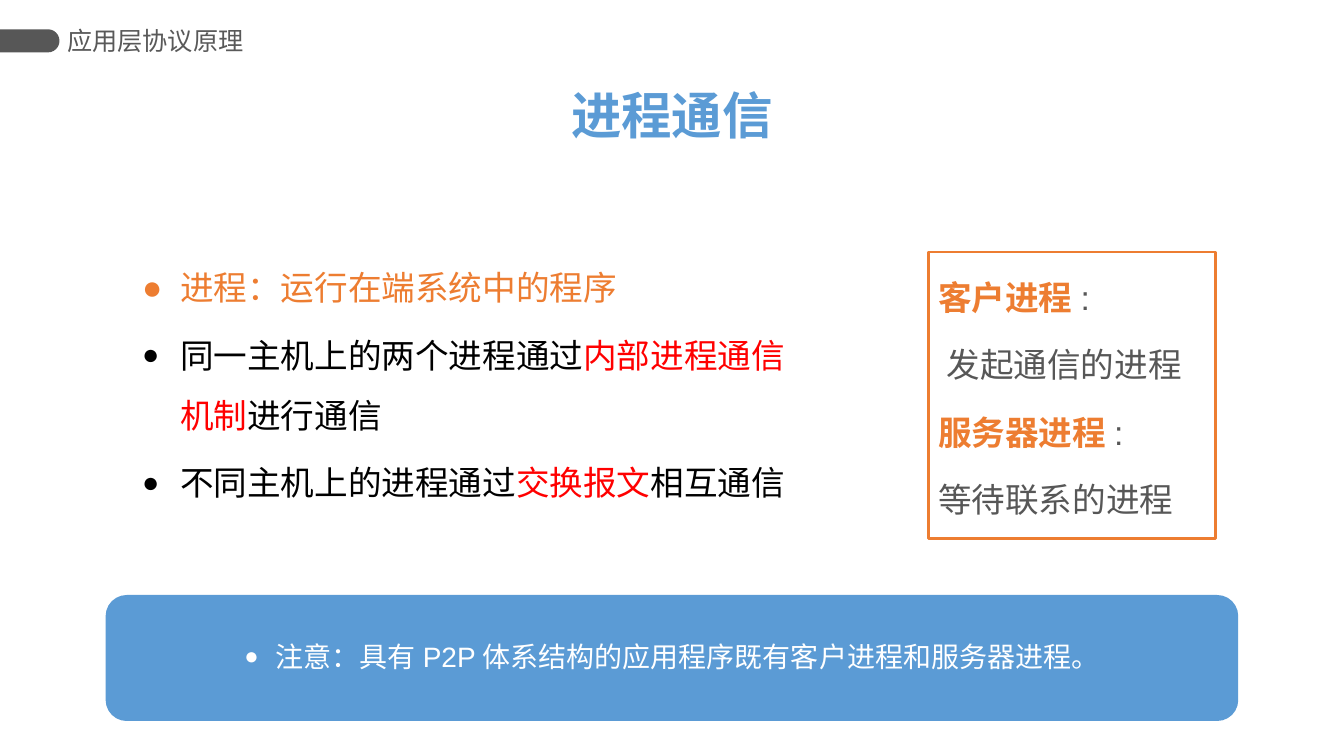
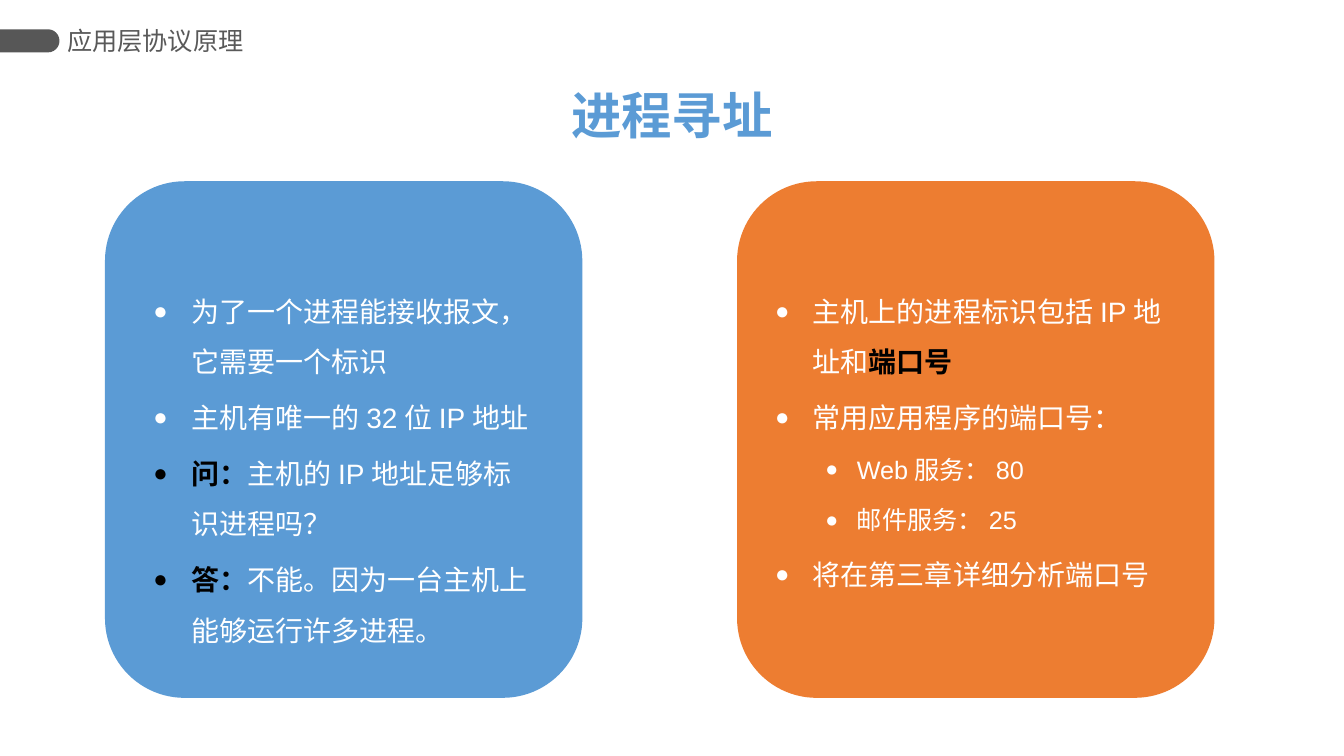
"""Build two slides on how processes talk and are addressed."""
from dataclasses import dataclass

from lxml import etree
from pptx import Presentation, util as u
from pptx.dml import color
from pptx.enum import shapes, text
from pptx.oxml import ns

Pt = u.Pt
KIND = shapes.MSO_SHAPE


@dataclass(frozen=True)
class Theme:
    """Colours, font and type sizes of the deck."""
    blue: str = "5B9BD5"
    orange: str = "ED7D31"
    red: str = "FF0000"
    black: str = "000000"
    white: str = "FFFFFF"
    grey: str = "575757"
    label: str = "595959"
    font: str = "Arial"
    title: int = 36
    large: int = 24
    body: int = 20
    small: int = 18


T = Theme()


def rgb(code):
    """Turn a hex code into a colour."""
    return color.RGBColor.from_string(code)


def style(run, size, tone, bold=False):
    """Set font, size, colour and weight of a run."""
    font = run.font
    font.name, font.size, font.bold = T.font, Pt(size), bold
    font.color.rgb = rgb(tone)


def bullet(para, left, hang, scale):
    """Give a paragraph a round bullet with a hanging indent."""
    props = para._p.get_or_add_pPr()
    props.set("marL", str(Pt(left)))
    props.set("indent", str(-Pt(hang)))
    for tag, key, value in (("a:buSzPct", "val", str(scale * 1000)),
                            ("a:buFont", "typeface", T.font),
                            ("a:buChar", "char", "●")):
        etree.SubElement(props, ns.qn(tag)).set(key, value)


def write(para, parts, size):
    """Add (words, colour, bold) runs to a paragraph."""
    for words, tone, *bold in parts:
        run = para.add_run()
        run.text = words
        style(run, size, tone, bool(bold))


def lines(frame, rows, size):
    """Yield each paragraph after writing its row with open spacing."""
    frame.word_wrap = True
    for i, parts in enumerate(rows):
        para = frame.paragraphs[0] if i == 0 else frame.add_paragraph()
        para.line_spacing = 1.5
        if i:
            para.space_before = Pt(size * 0.2)
        write(para, parts, size)
        yield para


def textbox(slide, box):
    """Add a wrapping text box and return its frame."""
    frame = slide.shapes.add_textbox(*map(Pt, box)).text_frame
    frame.word_wrap = True
    return frame


def points(slide, box, rows, size, subs=(), full=()):
    """Add a bullet list; subs are nested rows, full have large bullets."""
    frame = textbox(slide, box)
    for i, para in enumerate(lines(frame, rows, size)):
        nested = i in subs
        bullet(para, 58.5 if nested else 27, 22.5 if nested else 27,
               100 if i in full else 85)
        if nested:
            para.level = 1
            para.space_before = Pt(T.small * 0.2)
            for run in para.runs:
                run.font.size = Pt(T.small)


def panel(slide, kind, box, fill=None, line=None):
    """Add a plain shape with an optional fill and outline."""
    shape = slide.shapes.add_shape(kind, *map(Pt, box))
    shape.shadow.inherit = False
    if fill:
        shape.fill.solid()
        shape.fill.fore_color.rgb = rgb(fill)
    else:
        shape.fill.background()
    if line:
        shape.line.color.rgb = rgb(line)
        shape.line.width = Pt(2)
    else:
        shape.line.fill.background()
    return shape


def start(deck, name):
    """Add a slide with its tab, section label and title."""
    slide = deck.slides.add_slide(deck.slide_layouts[5])
    wide, high = 42.5, 16.5
    tab = panel(slide, KIND.ROUND_2_SAME_RECTANGLE,
                ((wide - high) / 2, 29.2 - wide / 2, high, wide), T.grey)
    tab.adjustments[0] = 0.5
    tab.rotation = 90

    label = textbox(slide, (48, 14, 168, 30))
    label.margin_left = label.margin_right = 0
    label.vertical_anchor = text.MSO_ANCHOR.MIDDLE
    write(label.paragraphs[0], [("应用层协议原理", T.label)], T.small)

    title = slide.shapes.title
    title.left, title.top, title.width, title.height = map(Pt, (400, 56, 160, 51))
    frame = title.text_frame
    frame.text = name
    frame.word_wrap = False
    frame.auto_size = text.MSO_AUTO_SIZE.NONE
    frame.vertical_anchor = text.MSO_ANCHOR.MIDDLE
    frame.paragraphs[0].alignment = text.PP_ALIGN.CENTER
    style(frame.paragraphs[0].runs[0], T.title, T.blue, True)
    return slide


def roles(slide):
    """Add the outlined box that defines client and server."""
    frame = panel(slide, KIND.RECTANGLE, (663, 180, 205, 204.5),
                  line=T.orange).text_frame
    frame.vertical_anchor = text.MSO_ANCHOR.TOP
    rows = [
        [("客户进程", T.orange, True), (":", T.grey)],
        [("发起通信的进程", T.grey)],
        [("服务器进程", T.orange, True), (":", T.grey)],
        [("等待联系的进程", T.grey)],
    ]
    for i, para in enumerate(lines(frame, rows, T.large)):
        para.alignment = text.PP_ALIGN.LEFT
        if i == 1:
            para._p.get_or_add_pPr().set("marL", str(Pt(6)))


def banner(slide, words):
    """Add the blue note across the foot of the slide."""
    panel(slide, KIND.ROUNDED_RECTANGLE, (75.5, 425, 809, 90), T.blue)
    para = textbox(slide, (104.5, 453.5, 751, 31.5)).paragraphs[0]
    para.alignment = text.PP_ALIGN.CENTER
    bullet(para, 22.5, 22.5, 85)
    write(para, [(words, T.white)], T.body)


def talk(deck):
    """Build the slide on process communication."""
    slide = start(deck, "进程通信")
    points(slide, (94.5, 173, 486.5, 150.5), [
        [("进程：运行在端系统中的程序", T.orange)],
        [("同一主机上的两个进程通过", T.black), ("内部进程通信机制", T.red),
         ("进行通信", T.black)],
        [("不同主机上的进程通过", T.black), ("交换报文", T.red),
         ("相互通信", T.black)],
    ], T.large, full=(0,))
    roles(slide)
    banner(slide, "注意：具有P2P体系结构的应用程序既有客户进程和服务器进程。")


def address(deck):
    """Build the slide on process addressing."""
    slide = start(deck, "进程寻址")
    cards = [
        (75, T.blue, 27.5, (), [
            [("为了一个进程能接收报文，它需要一个标识", T.white)],
            [("主机有唯一的32位IP地址", T.white)],
            [("问：", T.black, True), ("主机的IP地址足够标识进程吗？", T.white)],
            [("答：", T.black, True),
             ("不能。因为一台主机上能够运行许多进程。", T.white)],
        ]),
        (526.5, T.orange, 20, (2, 3), [
            [("主机上的进程标识包括IP地址和", T.white), ("端口号", T.black, True)],
            [("常用应用程序的端口号：", T.white)],
            [("Web服务：80", T.white)],
            [("邮件服务：25", T.white)],
            [("将在第三章详细分析端口号", T.white)],
        ]),
    ]
    wide = 341
    for left, fill, pad, subs, rows in cards:
        panel(slide, KIND.ROUNDED_RECTANGLE, (left, 129.5, wide, 369), fill)
        points(slide, (left + pad, 194.5, wide - 2 * pad, 164), rows, T.body, subs)


def main():
    """Build and save the deck."""
    deck = Presentation()
    deck.slide_width, deck.slide_height = Pt(960), Pt(540)
    talk(deck)
    address(deck)
    deck.save("out.pptx")


if __name__ == "__main__":
    main()
